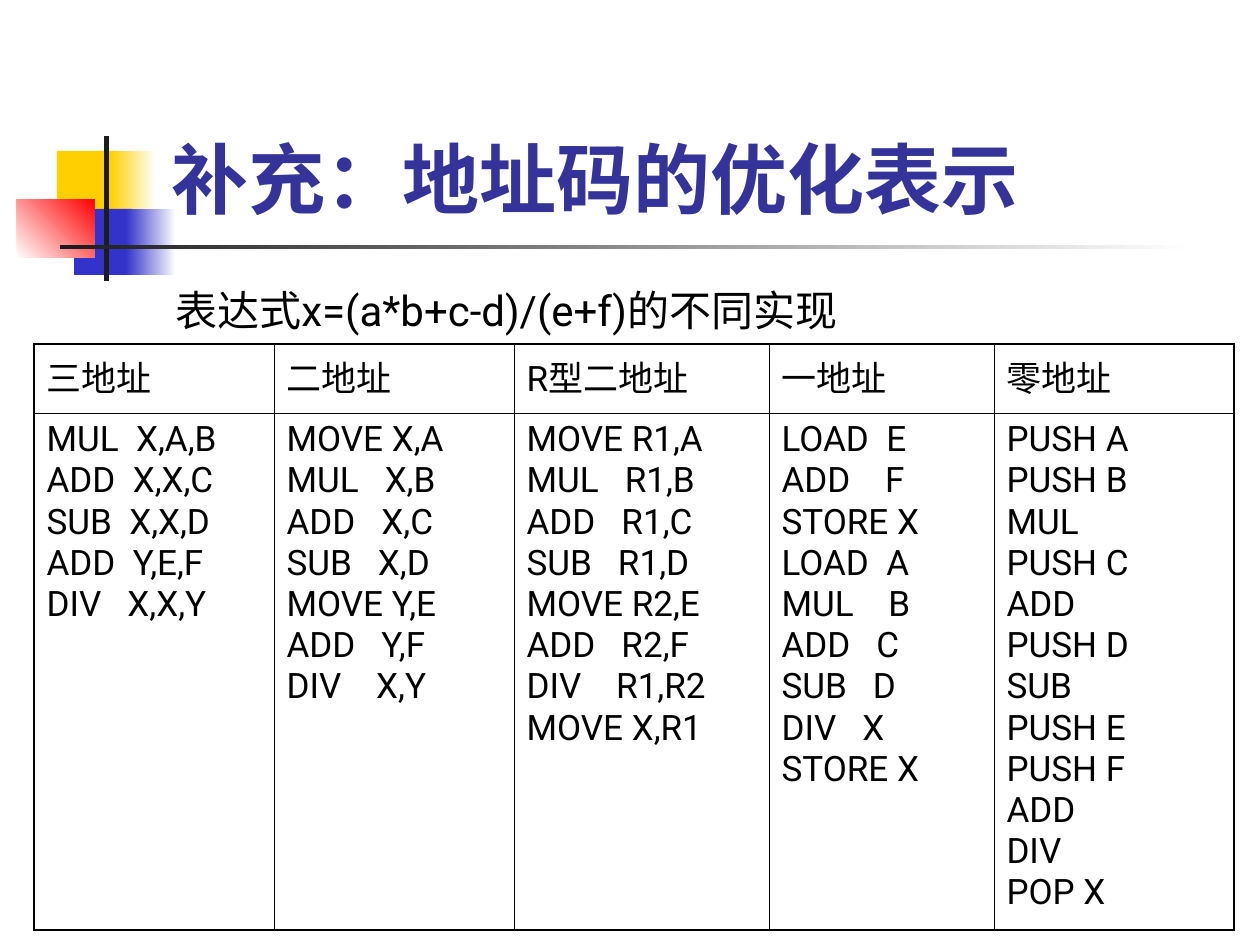
from lxml import etree
from pptx import Presentation
from pptx import util as u
from pptx.dml.color import RGBColor
from pptx.enum import shapes, text
from pptx.oxml import ns

PX = 914400 / 126
LATIN, HAN = "Roboto", "Noto Sans CJK SC"
BLACK, WHITE, INK = "000000", "FFFFFF", "1C1C1C"
YELLOW, BLUE, RED, TITLE_BLUE = "FFCF01", "3333CC", "FF0000", "333399"
THIN, THICK = 0.45, 1.08

# Heading of each instruction format and its program
PROGRAMS = {
    "三地址": ["MUL  X,A,B", "ADD  X,X,C", "SUB  X,X,D", "ADD  Y,E,F", "DIV   X,X,Y"],
    "二地址": ["MOVE X,A", "MUL   X,B", "ADD   X,C", "SUB   X,D", "MOVE Y,E",
            "ADD   Y,F", "DIV    X,Y"],
    "R型二地址": ["MOVE R1,A", "MUL   R1,B", "ADD   R1,C", "SUB   R1,D", "MOVE R2,E",
              "ADD   R2,F", "DIV    R1,R2", "MOVE X,R1"],
    "一地址": ["LOAD  E", "ADD    F", "STORE X", "LOAD  A", "MUL    B", "ADD   C",
            "SUB   D", "DIV   X", "STORE X"],
    "零地址": ["PUSH A", "PUSH B", "MUL", "PUSH C", "ADD", "PUSH D", "SUB", "PUSH E",
            "PUSH F", "ADD", "DIV", "POP X"],
}
COLUMN_WIDTHS = [240, 240, 255, 225, 240]
ROW_HEIGHTS = [69, 517]


def emu(*lengths):
    return [u.Emu(round(length * PX)) for length in lengths]


def color(value):
    return RGBColor.from_string(value)


def add_run(paragraph, words, size, ink=BLACK, font=LATIN, bold=False):
    run = paragraph.add_run()
    run.text = words
    run.font.size = u.Pt(size)
    run.font.bold = bold
    run.font.color.rgb = color(ink)
    run.font.name = font
    etree.SubElement(run.font._element, ns.qn("a:ea"), typeface=HAN)


def add_block(slide, box, start, end=None, angle=0):
    block = slide.shapes.add_shape(shapes.MSO_SHAPE.RECTANGLE, *emu(*box))
    block.shadow.inherit = False
    block.line.fill.background()
    if end is None:
        block.fill.solid()
        block.fill.fore_color.rgb = color(start)
        return
    block.fill.gradient()
    block.fill.gradient_angle = angle
    for stop, value in zip(block.fill.gradient_stops, (start, end)):
        stop.color.rgb = color(value)


def add_ornament(slide, x, y):
    """Overlapping colour blocks crossed by two bars."""
    for left, top, width, height, *paint in [
        (40, 15, 61, 66, YELLOW),
        (93, 15, 46, 66, YELLOW, WHITE),
        (57, 73, 58, 66, BLUE),
        (109, 73, 50, 66, BLUE, WHITE),
        (0, 63, 78, 59, WHITE, RED, 45),
        (87, 0, 5, 145, INK),
        (43, 109, 1134, 4, INK, WHITE),
    ]:
        add_block(slide, (x + left, y + top, width, height), *paint)


def add_line_of_text(slide, box, words, anchor, **style):
    frame = slide.shapes.add_textbox(*emu(*box)).text_frame
    frame.word_wrap = True
    frame.vertical_anchor = anchor
    add_run(frame.paragraphs[0], words, **style)


def set_borders(cell, widths):
    """Widths in points, in the order left, right, top, bottom."""
    properties = cell._tc.get_or_add_tcPr()
    for place, (side, width) in enumerate(zip("LRTB", widths)):
        line = etree.Element(ns.qn(f"a:ln{side}"), w=str(u.Pt(width)))
        fill = etree.SubElement(line, ns.qn("a:solidFill"))
        etree.SubElement(fill, ns.qn("a:srgbClr"), val=BLACK)
        properties.insert(place, line)


def add_program_table(slide, x, y):
    rows, columns = len(ROW_HEIGHTS), len(COLUMN_WIDTHS)
    box = (x, y, sum(COLUMN_WIDTHS), sum(ROW_HEIGHTS))
    table = slide.shapes.add_table(rows, columns, *emu(*box)).table
    table.first_row = table.horz_banding = False
    for row, height in zip(table.rows, emu(*ROW_HEIGHTS)):
        row.height = height
    for column, width in zip(table.columns, emu(*COLUMN_WIDTHS)):
        column.width = width

    for c, (heading, program) in enumerate(PROGRAMS.items()):
        for r, lines in enumerate([[heading], program]):
            cell = table.cell(r, c)
            cell.fill.background()
            # Outer edges are thick, inner ones thin
            edges = (c == 0, c == columns - 1, r == 0, r == rows - 1)
            set_borders(cell, [THICK if outer else THIN for outer in edges])
            frame = cell.text_frame
            for i, words in enumerate(lines):
                paragraph = frame.add_paragraph() if i else frame.paragraphs[0]
                add_run(paragraph, words, 20)


def main():
    deck = Presentation()
    deck.slide_width, deck.slide_height = emu(1260, 945)
    slide = deck.slides.add_slide(deck.slide_layouts[6])
    add_ornament(slide, 17, 136)
    # Title and expression
    add_line_of_text(slide, (159, 88, 964, 142), "补充：地址码的优化表示",
                     text.MSO_ANCHOR.BOTTOM, size=44, ink=TITLE_BLUE, font=HAN, bold=True)
    add_line_of_text(slide, (163, 278, 795, 66), "表达式x=(a*b+c-d)/(e+f)的不同实现",
                     text.MSO_ANCHOR.TOP, size=24)
    add_program_table(slide, 34, 344)
    deck.save("out.pptx")


if __name__ == "__main__":
    main()
